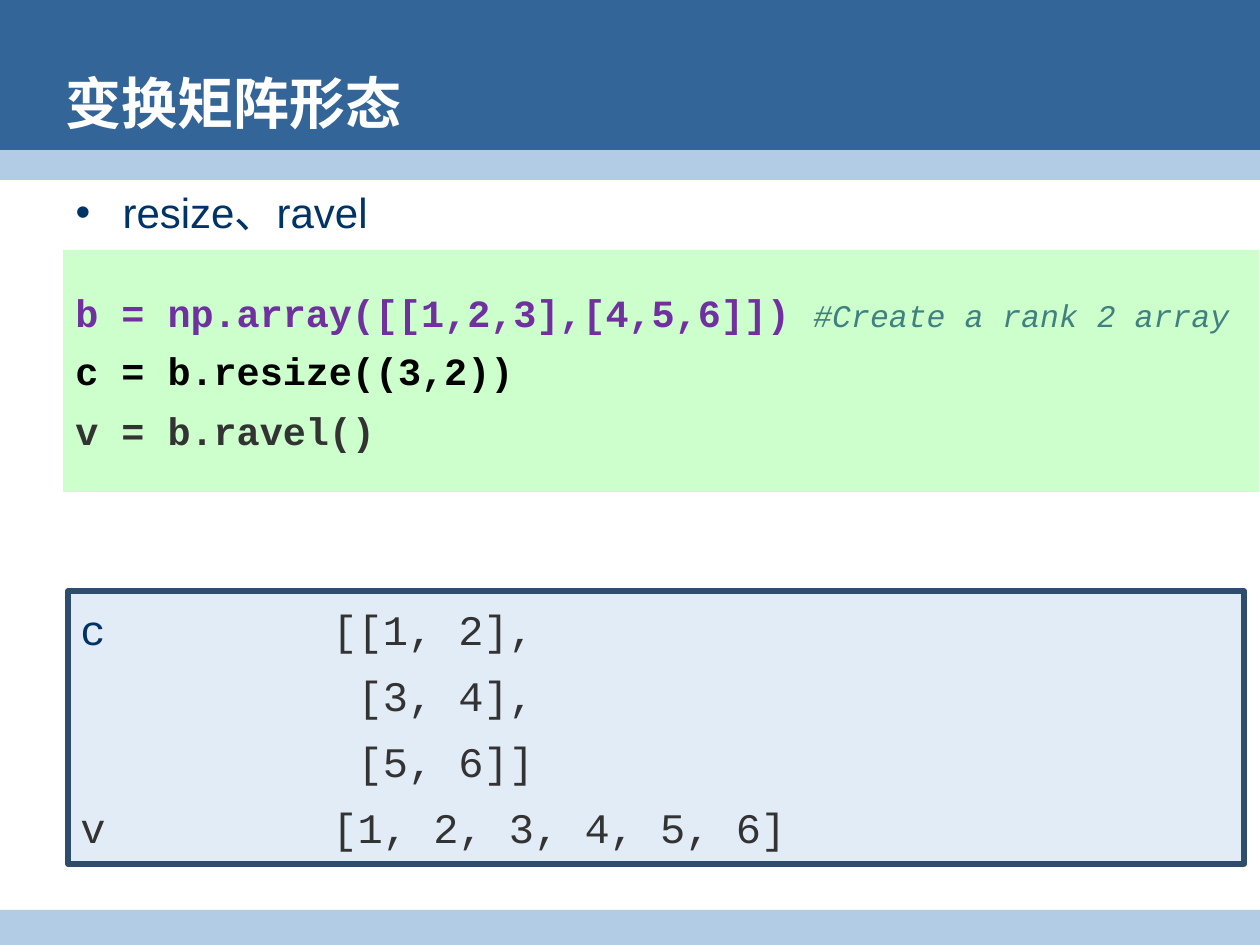
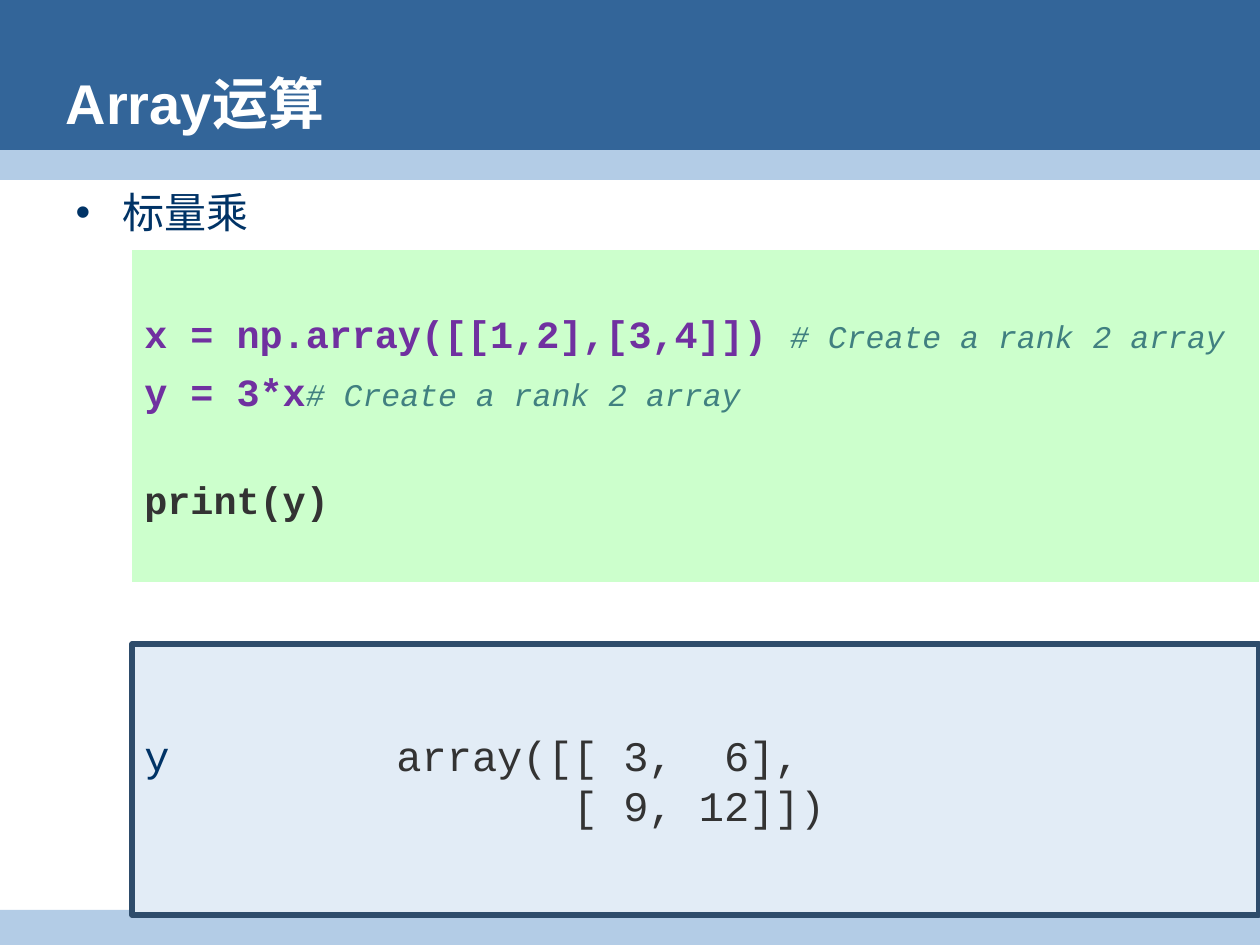
import dataclasses

import pptx
import pptx.dml.color
import pptx.enum.shapes
import pptx.enum.text
import pptx.oxml
import pptx.oxml.ns
import pptx.util

PX = pptx.util.Inches(1) / 126
SHAPE = pptx.enum.shapes.MSO_SHAPE
ANCHOR = pptx.enum.text.MSO_ANCHOR
LEFT = pptx.enum.text.PP_ALIGN.LEFT


def rgb(value):
    return pptx.dml.color.RGBColor.from_string(value)


@dataclasses.dataclass(frozen=True)
class Style:
    size: int
    color: str
    font: str = "Courier New"
    bold: bool = False
    italic: bool = False


@dataclasses.dataclass(frozen=True)
class Theme:
    header: str = "336599"
    band: str = "B3CCE6"
    code_fill: str = "CCFFCC"
    output_fill: str = "E2ECF6"
    output_line: str = "2E4C6B"
    bullet: str = "003366"
    title: Style = Style(32, "FFFFFF", "Arial", bold=True)
    body: Style = Style(24, "003366", "Arial")
    array: Style = Style(22, "7030A0", bold=True)
    method: Style = Style(22, "000000", bold=True)
    plain: Style = Style(22, "333333", bold=True)
    comment: Style = Style(18, "408080", italic=True)
    name: Style = Style(24, "003366")
    value: Style = Style(24, "333333")


THEME = Theme()


def write(box, lines, anchor, markup=()):
    """Fill a box with lines, each a space before and a list of (text, style) runs."""
    frame = box.text_frame
    frame.word_wrap = True
    frame.auto_size = pptx.enum.text.MSO_AUTO_SIZE.NONE
    frame.vertical_anchor = anchor
    for index, (space_before, spans) in enumerate(lines):
        para = frame.add_paragraph() if index else frame.paragraphs[0]
        properties = para._p.get_or_add_pPr()
        for fragment in markup:
            properties.append(pptx.oxml.parse_xml(fragment))
        para.alignment = LEFT
        para.space_before = pptx.util.Pt(space_before)
        for text, style in spans:
            span = para.add_run()
            span.text = text
            span.font.name = style.font
            span.font.size = pptx.util.Pt(style.size)
            span.font.bold = style.bold
            span.font.italic = style.italic
            span.font.color.rgb = rgb(style.color)


NS = pptx.oxml.ns.nsdecls("a")
BULLET = [
    f'<a:buClr {NS}><a:srgbClr val="{THEME.bullet}"/></a:buClr>',
    f'<a:buFont {NS} typeface="Arial"/>',
    f'<a:buChar {NS} char="•"/>',
]
VALUE_TAB = [f'<a:tabLst {NS}><a:tab pos="{pptx.util.Inches(2)}" algn="l"/></a:tabLst>']

# left, top, width, height in px
BANDS = [
    ((0, 0, 1260, 165), THEME.header),
    ((0, 150, 1260, 30), THEME.band),
    ((0, 910, 1260, 35), THEME.band),
]
TITLE_AT = (53, 66, 1142, 73)
BODY_AT = (63, 180, 1166, 735)

PAGES = [
    {
        "title": "变换矩阵形态",
        "topic": "resize、ravel",
        "code_at": (63, 250, 1196, 242),
        "code": [
            (0, [("b = np.array([[1,2,3],[4,5,6]]) ", THEME.array),
                 ("#Create a rank 2 array", THEME.comment)]),
            (6.8, [("c = b.resize((3,2))", THEME.method)]),
            (8.2, [("v = b.ravel()", THEME.plain)]),
        ],
        "output_at": (68, 591, 1176, 273),
        "output": [
            (0, [("c\t", THEME.name), ("[[1, 2],", THEME.value)]),
            (9, [("\t [3, 4],", THEME.value)]),
            (9, [("\t [5, 6]]", THEME.value)]),
            (9, [("v\t[1, 2, 3, 4, 5, 6]", THEME.value)]),
        ],
    },
    {
        "title": "Array运算",
        "topic": "标量乘",
        "code_at": (132, 250, 1127, 332),
        "code": [
            (0, [("x = np.array([[1,2],[3,4]]) ", THEME.array),
                 ("# Create a rank 2 array", THEME.comment)]),
            (6.8, [("y = 3*x", THEME.array),
                   ("# Create a rank 2 array", THEME.comment)]),
            (35.4, [("print(y)", THEME.plain)]),
        ],
        "output_at": (132, 644, 1127, 271),
        "output": [
            (0, [("y\t", THEME.name), ("array([[ 3,  6],", THEME.value)]),
            (0, [("\t       [ 9, 12]])", THEME.value)]),
        ],
    },
]

deck = pptx.Presentation()
deck.slide_width = round(1260 * PX)
deck.slide_height = round(945 * PX)
layout = deck.slide_layouts[1]

for number, content in enumerate(PAGES):
    page = deck.slides.add_slide(layout)

    # The bands are drawn once and moved behind the layout's placeholders.
    if number == 0:
        for position, (at, color) in enumerate(BANDS):
            band = page.shapes.add_shape(SHAPE.RECTANGLE, *[round(v * PX) for v in at])
            band.shadow.inherit = False
            band.fill.solid()
            band.fill.fore_color.rgb = rgb(color)
            band.line.fill.background()
            layout.shapes.element.insert(2 + position, band.element)

    title, body = page.shapes.title, page.placeholders[1]
    for holder, at in ((title, TITLE_AT), (body, BODY_AT)):
        holder.left, holder.top, holder.width, holder.height = [round(v * PX) for v in at]
    write(title, [(0, [(content["title"], THEME.title)])], ANCHOR.MIDDLE)
    write(body, [(0, [(content["topic"], THEME.body)])], ANCHOR.TOP, BULLET)
    indent = body.text_frame.paragraphs[0]._p.get_or_add_pPr()
    indent.set("marL", str(round(47 * PX)))
    indent.set("indent", str(round(-47 * PX)))

    for part, kind, color in (
        ("code", SHAPE.FLOWCHART_PROCESS, THEME.code_fill),
        ("output", SHAPE.RECTANGLE, THEME.output_fill),
    ):
        at = [round(v * PX) for v in content[part + "_at"]]
        box = page.shapes.add_shape(kind, *at)
        box.shadow.inherit = False
        box.fill.solid()
        box.fill.fore_color.rgb = rgb(color)
        if part == "output":
            box.line.color.rgb = rgb(THEME.output_line)
            box.line.width = pptx.util.Pt(3)
        else:
            box.line.fill.background()
        write(box, content[part], ANCHOR.MIDDLE, VALUE_TAB if part == "output" else ())

deck.save("out.pptx")
